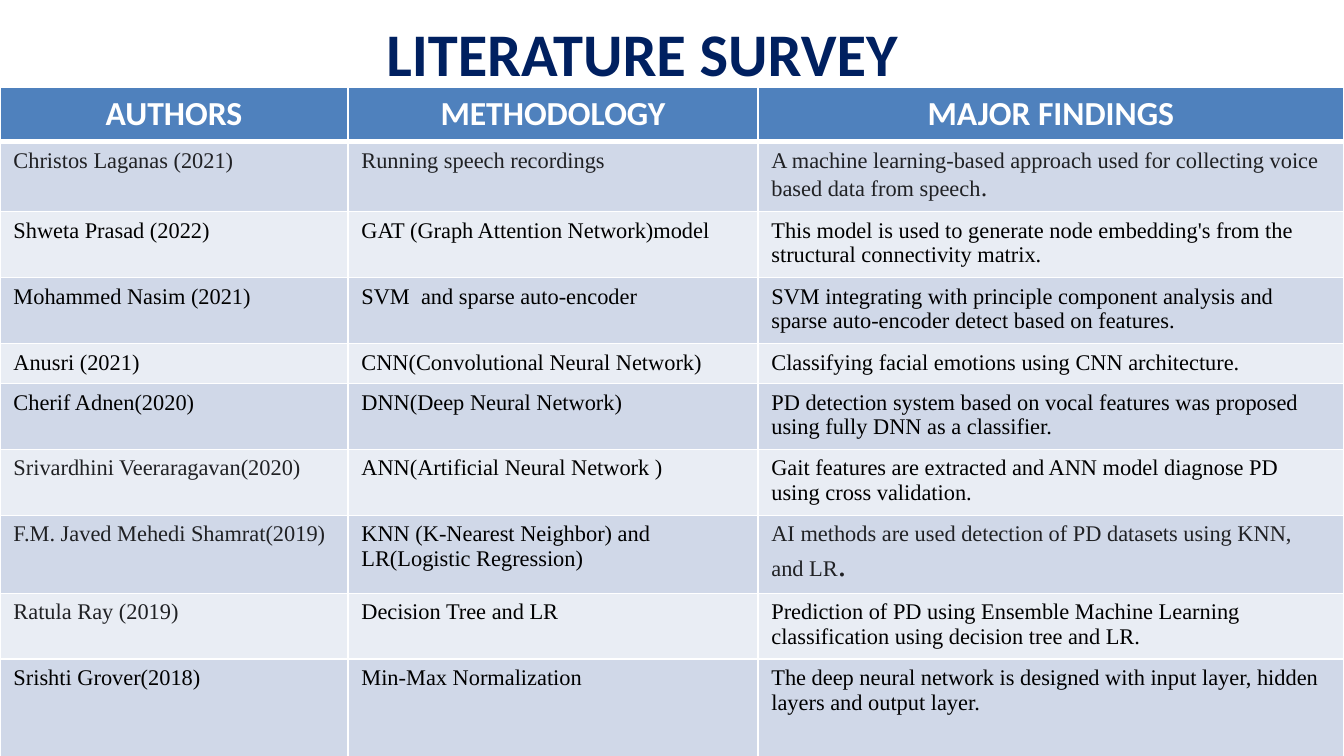
from lxml import etree
from pptx import Presentation
from pptx import util as u
from pptx.dml.color import RGBColor
from pptx.enum import text
from pptx.oxml.ns import qn

PX = 914400 / 134.4
NAVY = RGBColor(0x00, 0x20, 0x60)
BLUE = RGBColor(0x4F, 0x81, 0xBD)
DARK = RGBColor(0xD0, 0xD8, 0xE8)
PALE = RGBColor(0xE9, 0xED, 0xF4)
WHITE = RGBColor(0xFF, 0xFF, 0xFF)
BLACK = RGBColor(0x00, 0x00, 0x00)
GRAY = RGBColor(0x20, 0x21, 0x24)

TITLE = "LITERATURE SURVEY "
ROWS = [
    ("AUTHORS", "METHODOLOGY", "MAJOR FINDINGS"),
    ("Christos Laganas (2021)", "Running speech recordings",
     "A machine learning-based approach used for collecting voice based data from speech"),
    ("Shweta Prasad (2022)", "GAT (Graph Attention Network)model",
     "This model is used to generate node embedding's from the structural connectivity matrix."),
    ("Mohammed Nasim (2021)", "SVM  and sparse auto-encoder",
     "SVM integrating with principle component analysis and sparse auto-encoder detect based on features."),
    ("Anusri (2021)", "CNN(Convolutional Neural Network)",
     "Classifying facial emotions using CNN architecture."),
    ("Cherif Adnen(2020)", "DNN(Deep Neural Network)",
     "PD detection system based on vocal features was proposed using fully DNN as a classifier."),
    ("Srivardhini Veeraragavan(2020)", "ANN(Artificial Neural Network )",
     "Gait features are extracted and ANN model diagnose PD using cross validation."),
    ("F.M. Javed Mehedi Shamrat(2019)", "KNN (K-Nearest Neighbor) and LR(Logistic Regression)",
     "AI methods are used detection of PD datasets using KNN, and LR"),
    ("Ratula Ray (2019)", "Decision Tree and LR",
     "Prediction of PD using Ensemble Machine Learning classification using decision tree and LR."),
    ("Srishti Grover(2018)", "Min-Max Normalization",
     "The deep neural network is designed with input layer, hidden layers and output layer."),
]
WIDTHS = [348, 410, 586]
HEIGHTS = [53, 70, 66, 66, 40, 66, 66, 78, 66, 105]
SOFT = {(1, 0), (1, 1), (1, 2), (6, 0), (7, 0), (7, 2), (8, 0)}
STOPS = {(1, 2): 14, (7, 2): 18}


def px(n):
    return u.Emu(round(n * PX))


def style(run, face, size, color, bold):
    font = run.font
    font.name, font.size, font.bold = face, u.Pt(size), bold
    font.color.rgb = color


def edge(cell, sides):
    props = cell._tc.get_or_add_tcPr()
    for i, (side, width) in enumerate(sides):
        line = etree.Element(qn("a:ln" + side), w=str(u.Pt(width)))
        fill = etree.SubElement(line, qn("a:solidFill"))
        etree.SubElement(fill, qn("a:srgbClr"), val=str(WHITE))
        props.insert(i, line)


deck = Presentation()
deck.slide_width, deck.slide_height = px(1344), px(756)
slide = deck.slides.add_slide(deck.slide_layouts[5])

title = slide.shapes.title
title.left, title.top, title.width, title.height = px(43), px(19), px(1212), px(67)
frame = title.text_frame
frame.text = TITLE
frame.auto_size = text.MSO_AUTO_SIZE.NONE
frame.vertical_anchor = text.MSO_ANCHOR.MIDDLE
para = frame.paragraphs[0]
para.alignment = text.PP_ALIGN.CENTER
style(para.runs[0], "Calibri", 32.4, NAVY, True)

table = slide.shapes.add_table(
    len(ROWS), len(WIDTHS), 0, px(87), px(sum(WIDTHS)), px(sum(HEIGHTS))).table
for col, width in zip(table.columns, WIDTHS):
    col.width = px(width)
for row, height in zip(table.rows, HEIGHTS):
    row.height = px(height)

for r, row in enumerate(ROWS):
    head = r == 0
    for c, words in enumerate(row):
        cell = table.cell(r, c)
        cell.text_frame.text = words
        para = cell.text_frame.paragraphs[0]
        cell.fill.solid()
        cell.fill.fore_color.rgb = BLUE if head else DARK if r % 2 else PALE
        edge(cell, [("L", 1), ("R", 1), ("T", 3 if r == 1 else 1), ("B", 3 if head else 1)])
        if head:
            para.alignment = text.PP_ALIGN.CENTER
            style(para.runs[0], "Calibri", 18, WHITE, True)
            continue
        color = GRAY if (r, c) in SOFT else BLACK
        style(para.runs[0], "Times New Roman", 12, color, False)
        if (r, c) in STOPS:
            stop = para.add_run()
            stop.text = "."
            style(stop, "Times New Roman", STOPS[r, c], color, False)

deck.save("out.pptx")
